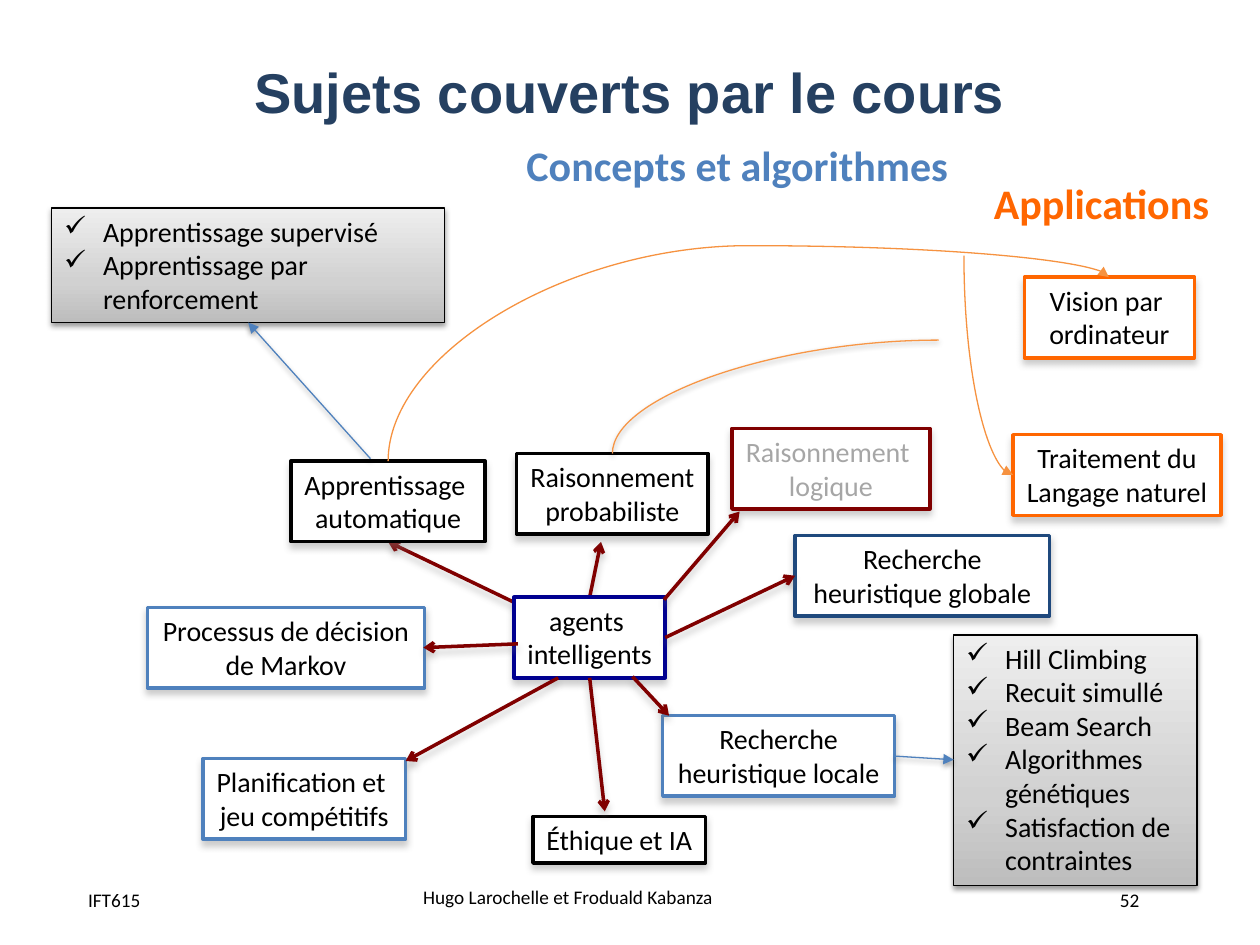
import dataclasses
import lxml.etree as etree
import pptx
import pptx.dml.color
import pptx.enum.shapes
import pptx.enum.text
import pptx.oxml.ns
import pptx.util

qn = pptx.oxml.ns.qn
ALIGN = pptx.enum.text.PP_ALIGN
KIND = pptx.enum.shapes.MSO_CONNECTOR
RECT = pptx.enum.shapes.MSO_SHAPE.RECTANGLE
COLS, ROWS = 100, 75


@dataclasses.dataclass(frozen=True)
class Theme:
    """Colours, type sizes, line widths and shadows."""
    ink: str = "000000"
    pale: str = "FFFFFF"
    title: str = "254061"
    blue: str = "4F81BD"
    deep: str = "1F497D"
    navy: str = "000090"
    red: str = "800000"
    grey: str = "A6A6A6"
    orange: str = "FF6600"
    curve: str = "F69240"
    amber: str = "F79646"
    ramp: tuple = ((0, "BDBDBD"), (35, "D1D1D1"), (100, "EEEEEE"))
    font: str = "Calibri"
    face: str = "Arial"
    big: int = 32
    head: int = 24
    body: int = 16
    small: int = 11
    thick: float = 2
    thin: float = 0.75
    soft: tuple = ("808080", 40, 4, 3)
    hard: tuple = ("000000", 38, 3.15, 1.57)


@dataclasses.dataclass
class Area:
    """A region of the slide, measured in grid columns and rows."""
    shapes: object
    left: float
    top: float
    wide: float
    high: float

    def spot(self, x, y):
        """Slide position of a point in the region."""
        return grid(self.left + x, self.top + y)

    def rect(self, x, y, wide, high):
        """Slide position and size of a box in the region."""
        return self.spot(x, y) + grid(wide, high)


T = Theme()
deck = pptx.Presentation()
deck.slide_width, deck.slide_height = pptx.util.Inches(10), pptx.util.Inches(7.5)


def grid(cols, rows):
    """Turn columns and rows into slide lengths."""
    return (round(cols * deck.slide_width / COLS),
            round(rows * deck.slide_height / ROWS))


def rgb(code):
    """Colour object for a hex code."""
    return pptx.dml.color.RGBColor.from_string(code)


def add(root, tag, **attrs):
    """Append a drawing element."""
    return etree.SubElement(root, qn("a:" + tag),
                            {k: str(v) for k, v in attrs.items()})


def cast(shape, look):
    """Give a shape the shadow described, or none."""
    fx = add(shape._element.spPr, "effectLst")
    if look:
        tint, alpha, blur, dist = look
        shade = add(fx, "outerShdw", blurRad=pptx.util.Pt(blur),
                    dist=pptx.util.Pt(dist), dir=5400000, rotWithShape=0)
        add(add(shade, "srgbClr", val=tint), "alpha", val=alpha * 1000)


def stroke(shape, tint, width):
    """Set the line of a shape."""
    shape.line.color.rgb = rgb(tint)
    shape.line.width = pptx.util.Pt(width)


def write(shape, lines, size, tint=T.ink, bold=False, align=None,
          font=T.font, wrap=True, grow=False):
    """Fill a text frame with one paragraph for each line."""
    frame = shape.text_frame
    frame.text = "\n".join(lines)
    frame.word_wrap = wrap
    if grow:
        frame.auto_size = pptx.enum.text.MSO_AUTO_SIZE.SHAPE_TO_FIT_TEXT
    for para in frame.paragraphs:
        para.alignment = align
        para.font.name, para.font.size = font, pptx.util.Pt(size)
        para.font.bold, para.font.color.rgb = bold, rgb(tint)
    return frame


def panel(area, box, lines, edge, width, look, **style):
    """Draw a framed box with text."""
    shape = area.shapes.add_shape(RECT, *area.rect(*box))
    shape.fill.solid()
    shape.fill.fore_color.rgb = rgb(T.pale)
    stroke(shape, edge, width)
    cast(shape, look)
    frame = write(shape, lines, T.body, grow=True, **style)
    frame.vertical_anchor = pptx.enum.text.MSO_ANCHOR.TOP
    return shape


def node(area, x, y, wide, lines, edge, tint=T.ink, high=6.4, wrap=False):
    """Draw one topic box."""
    panel(area, (x, y, wide, high), lines, edge, T.thick, T.soft,
          tint=tint, align=ALIGN.CENTER, wrap=wrap)


def label(area, box, text, size, **style):
    """Place a free line of text."""
    write(area.shapes.add_textbox(*area.rect(*box)), [text], size, **style)


def link(area, ends, tint, width, tip=None, look=None, turn=0, bend=None, adj=None):
    """Draw a straight line, or a curve turned by 90 or 270 degrees."""
    x1, y1, x2, y2 = ends
    if turn:
        sign = 1 if turn == 90 else -1
        cx, cy = (x1 + x2) / 2, (y1 + y2) / 2
        dx, dy = sign * (y2 - y1) / 2, sign * (x1 - x2) / 2
        x1, y1, x2, y2 = cx - dx, cy - dy, cx + dx, cy + dy
    line = area.shapes.add_connector(KIND.CURVE if bend else KIND.STRAIGHT,
                                     *area.spot(x1, y1), *area.spot(x2, y2))
    part = line._element.spPr
    if bend:
        part.find(qn("a:xfrm")).set("rot", str(turn * 60000))
        geom = part.find(qn("a:prstGeom"))
        geom.set("prst", bend)
        if adj:
            add(geom.find(qn("a:avLst")), "gd", name="adj1", fmla=f"val {adj}")
    stroke(line, tint, width)
    if tip:
        add(part.find(qn("a:ln")), "tailEnd", type=tip)
    cast(line, look)


def spokes(area, rays):
    """Draw the arrows that leave the centre."""
    for ends in rays:
        link(area, ends, T.red, T.thick, "arrow", T.soft)


def header(slide, area):
    """Set the slide title."""
    title = slide.shapes.title
    title.left, title.top, title.width, title.height = area.rect(0, 0, area.wide, area.high)
    write(title, ["Sujets couverts par le cours"], T.big, T.title, True,
          ALIGN.CENTER, T.face).vertical_anchor = pptx.enum.text.MSO_ANCHOR.MIDDLE


def footer(area):
    """Write the course, the authors and the page."""
    for x, y, wide, high, text in (
            (0, 0.2, 7.5, 2.9, "IFT615"),
            (26.6, 0, 30.7, 3.3, "Hugo Larochelle et Froduald Kabanza"),
            (81.9, 0.2, 7.5, 2.9, "52")):
        label(area, (x, y, wide, high), text, T.small)


def topics(area):
    """Draw the central topic, its neighbours and the arrows between."""
    spokes(area, ((36.8, 17.4, 37.7, 13), (31, 17.9, 20.8, 13)))
    node(area, 30.8, 17.4, 12, ["agents ", "intelligents"], T.navy)
    node(area, 48.1, 4, 15.7, ["Raisonnement ", "logique"], T.red, T.grey)
    node(area, 13.1, 6.6, 15.4, ["Apprentissage ", "automatique"], T.ink)
    node(area, 1.7, 18.2, 22, ["Processus de décision ", "de Markov"], T.blue, wrap=True)
    node(area, 6.1, 30.2, 16.1, ["Planification et ", "jeu compétitifs"], T.blue)
    node(area, 42.6, 26.8, 18.4, ["Recherche heuristique locale"], T.blue, wrap=True)
    node(area, 53.1, 12.5, 20.2, ["Recherche heuristique globale"], T.deep, wrap=True)
    node(area, 32.3, 34.8, 13.7, ["Éthique et IA"], T.ink, high=3.7)
    node(area, 31, 6, 15.2, ["Raisonnement", "probabiliste"], T.ink)
    spokes(area, ((42.8, 20.6, 53.1, 15.7), (40.2, 23.7, 43.1, 26.8),
                  (36.8, 23.8, 38, 34.4), (31.1, 21.1, 23.6, 21.4),
                  (34.3, 23.8, 22.2, 30.4), (42.7, 17.6, 48.7, 10.6)))


def uses(area):
    """Draw the two headings, the applications and their curves."""
    for box, text, tint in (((47.9, 3.6, 19.3, 5), "Applications", T.orange),
                            ((10.8, 0.6, 35.8, 5), "Concepts et algorithmes", T.blue)):
        label(area, box, text, T.head, tint=tint, bold=True, wrap=False, grow=True)
    node(area, 51.3, 12, 13.5, ["Vision par ", "ordinateur"], T.orange, wrap=True)
    link(area, (0.8, 26.6, 58, 12), T.curve, T.thin, "triangle",
         turn=90, bend="curvedConnector3", adj=117100)
    node(area, 50.4, 24.5, 16.5, ["Traitement du", "Langage naturel"], T.orange)
    link(area, (46.5, 10.3, 50.4, 27.7), T.curve, T.thin, "triangle",
         turn=270, bend="curvedConnector2")
    link(area, (18.6, 26, 44.5, 17), T.amber, T.thin, look=T.hard,
         turn=90, bend="curvedConnector2")


def checks(area, lines, ends):
    """Draw a shaded check list and the arrow that leads to it."""
    shape = panel(area, (0, 0, area.wide, area.high), lines, T.ink, T.thin,
                  T.hard, align=ALIGN.LEFT)
    shape.fill.gradient()
    shape.fill.gradient_angle = 90
    stops = shape._element.spPr.find(qn("a:gradFill")).find(qn("a:gsLst"))
    for stop in list(stops):
        stops.remove(stop)
    for pos, tint in T.ramp:
        add(add(stops, "gs", pos=pos * 1000), "srgbClr", val=tint)
    dent = pptx.util.Inches(0.31)
    for para in shape.text_frame.paragraphs:
        props = para._p.get_or_add_pPr()
        props.set("marL", str(dent))
        props.set("indent", str(-dent))
        mark = etree.Element(qn("a:buChar"), {"char": "✓"})
        props.insert(0, mark)
    link(area, ends, T.blue, T.thin, "triangle", T.hard)


def build():
    """Make the slide."""
    slide = deck.slides.add_slide(deck.slide_layouts[5])
    pool = slide.shapes
    header(slide, Area(pool, 5, 3.9, 90, 6.6))
    footer(Area(pool, 6, 69.8, 90, 3.3))
    topics(Area(pool, 10, 30, 75, 39))
    uses(Area(pool, 30, 10, 67, 31))
    checks(Area(pool, 4.1, 16.5, 31.2, 9.1),
           ["Apprentissage supervisé", "Apprentissage par renforcement"],
           (25.3, 19.9, 15.6, 9.1))
    checks(Area(pool, 75.7, 50.4, 19.3, 19.9),
           ["Hill Climbing", "Recuit simullé", "Beam Search",
            "Algorithmes génétiques", "Satisfaction de contraintes"],
           (-4.8, 9.6, 0, 9.9))


build()
deck.save("out.pptx")
